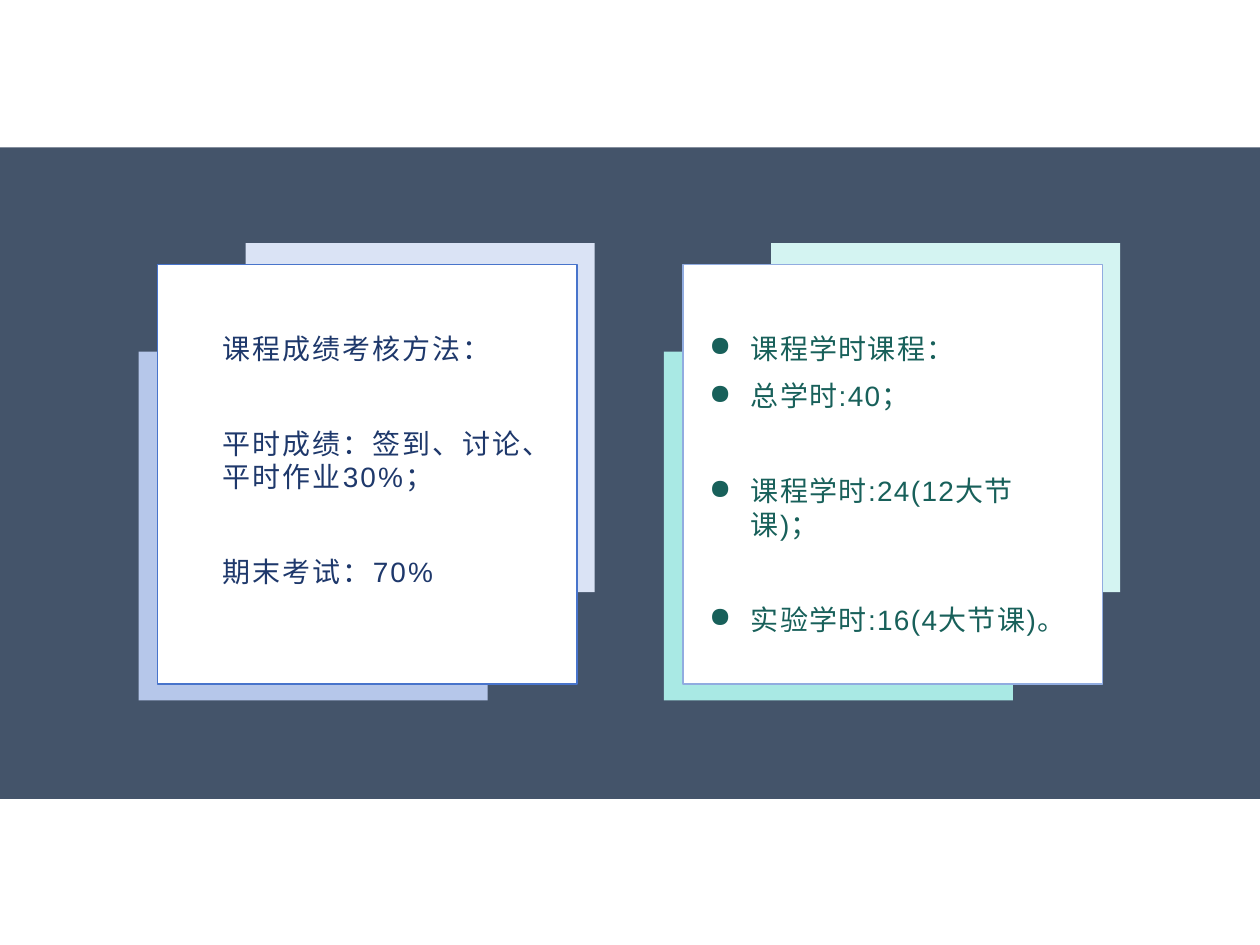
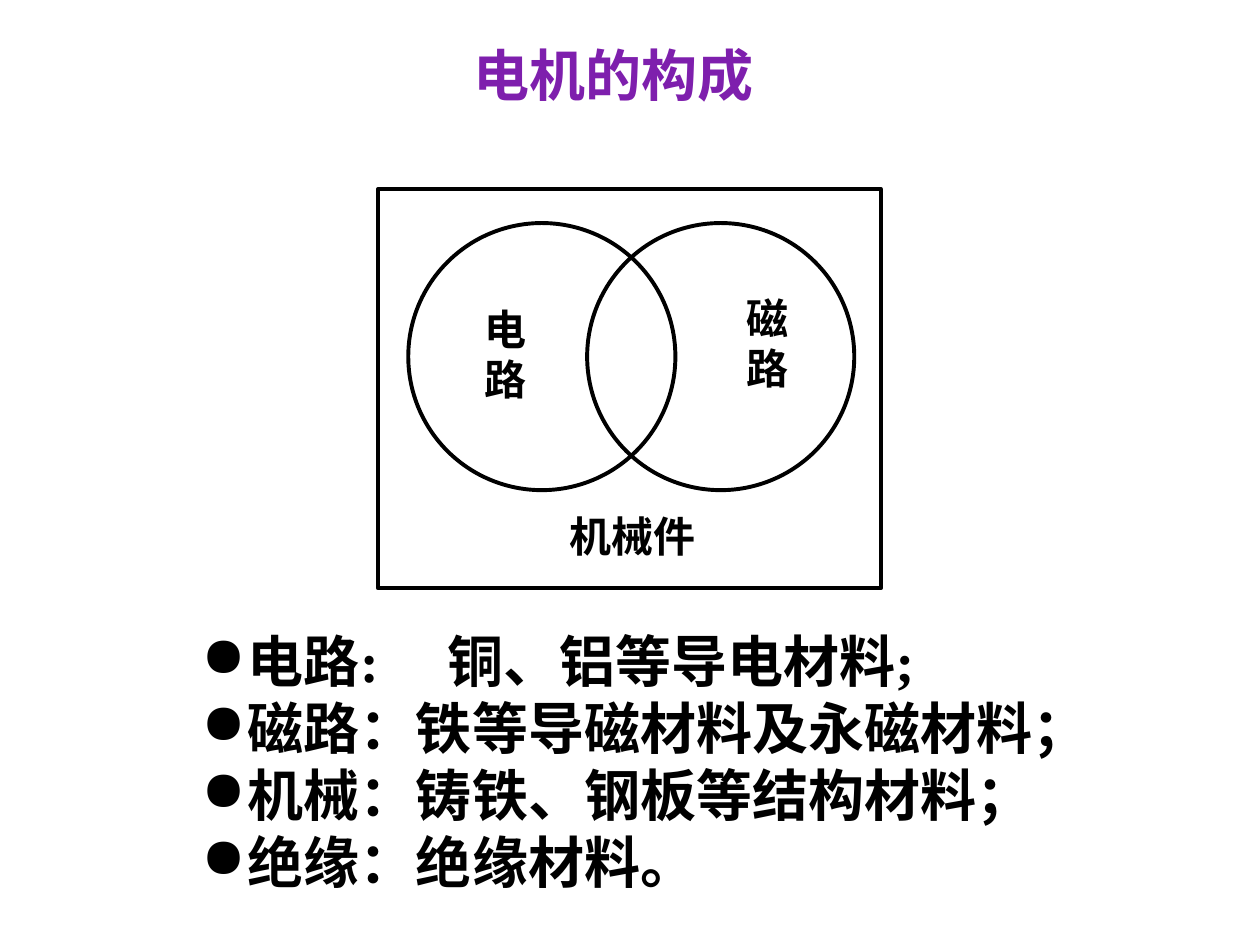
from pptx import Presentation
from pptx.dml.color import RGBColor
from pptx.enum.lang import MSO_LANGUAGE_ID
from pptx.enum.shapes import MSO_SHAPE
from pptx.enum.text import MSO_AUTO_SIZE, PP_ALIGN
from pptx.oxml.ns import qn
from pptx.util import Inches, Pt
from lxml import etree

# Shared colours and fonts
BLACK, WHITE = "000000", "FFFFFF"
SLATE, NAVY, TEAL, PURPLE = "44546A", "1E386B", "18605A", "7E1FAD"
SANS, SERIF = "Arial", "Times New Roman"


def colour(hex_string):
    return RGBColor.from_string(hex_string)


def add_panel(page, left, top, width, height, fill=None, line=None,
              weight=1, kind=MSO_SHAPE.RECTANGLE):
    shape = page.shapes.add_shape(kind, Inches(left), Inches(top),
                                  Inches(width), Inches(height))
    shape.shadow.inherit = False
    if fill:
        shape.fill.solid()
        shape.fill.fore_color.rgb = colour(fill)
    else:
        shape.fill.background()
    if line:
        shape.line.color.rgb = colour(line)
        shape.line.width = Pt(weight)
    else:
        shape.line.fill.background()


def add_bullet(para, hanging, tab=None):
    properties = para._p.get_or_add_pPr()
    properties.set("marL", str(Inches(hanging)))
    properties.set("indent", str(-Inches(hanging)))
    bullet = etree.SubElement(properties, qn("a:buChar"))
    bullet.set("char", "●")
    if tab:
        stops = etree.SubElement(properties, qn("a:tabLst"))
        etree.SubElement(stops, qn("a:tab"), pos=str(Inches(tab)), algn="l")


def add_text(page, left, top, width, height, lines, size, font, ink,
             bold=False, align=PP_ALIGN.LEFT, wrap=True, grow=True,
             hanging=None, tab=None, tracking=0, after=0, gaps=()):
    """Write one paragraph per line; gaps lists the lines set off from the one above."""
    box = page.shapes.add_textbox(Inches(left), Inches(top),
                                  Inches(width), Inches(height))
    frame = box.text_frame
    frame.word_wrap = wrap
    frame.auto_size = MSO_AUTO_SIZE.SHAPE_TO_FIT_TEXT if grow else MSO_AUTO_SIZE.NONE
    for index, line in enumerate(lines):
        para = frame.paragraphs[0] if index == 0 else frame.add_paragraph()
        para.alignment = align
        para.space_after = Pt(after)
        if index in gaps:
            para.space_before = Pt(27)
        if hanging:
            add_bullet(para, hanging, tab)
        para.font.size = Pt(size)
        para.font.name = font
        para.font.bold = bold
        para.font.color.rgb = colour(ink)
        span = para.add_run()
        span.text = line
        span.font.language_id = MSO_LANGUAGE_ID.SIMPLIFIED_CHINESE
        if tracking:
            span.font._element.set("spc", str(round(tracking * 100)))


def add_card(page, left, back_fill, front_fill, line):
    """A white square over two offset coloured squares."""
    add_panel(page, left + 0.85, 1.93, 2.77, 2.77, back_fill)
    add_panel(page, left, 2.79, 2.77, 2.77, front_fill)
    add_panel(page, left + 0.15, 2.1, 3.33, 3.33, WHITE, line)


def build_course_page(page):
    add_panel(page, 0, 1.17, 10, 5.17, SLATE)

    # Grading
    add_card(page, 1.1, "DAE3F5", "B6C7EA", "4874CB")
    grading = ["课程成绩考核方法：", "平时成绩：签到、讨论、平时作业30%；", "期末考试：70%"]
    add_text(page, 1.67, 2.58, 2.61, 2.35, grading, 16, SANS, NAVY,
             grow=False, tracking=1.2, after=8, gaps=(1, 2))

    # Class hours
    add_card(page, 5.27, "D4F4F2", "A9E9E4", "91ACE0")
    hours = ["课程学时课程：", "总学时:40；", "课程学时:24(12大节课)；",
             "实验学时:16(4大节课)。"]
    add_text(page, 5.53, 2.58, 3.11, 2.35, hours, 16, SANS, TEAL,
             grow=False, hanging=0.33, tracking=0.8, after=8, gaps=(2, 3))


def build_motor_page(page):
    add_text(page, 3.66, 0.27, 3.18, 0.63, ["电机的构成"], 32, SANS, PURPLE, bold=True)

    # Two overlapping circuits inside the mechanical frame
    for left in (3.24, 4.66):
        add_panel(page, left, 1.77, 2.12, 2.12, line=BLACK, weight=2.25,
                  kind=MSO_SHAPE.OVAL)
    add_panel(page, 3, 1.5, 3.99, 3.17, line=BLACK, weight=2.25)
    labels = [
        (3.74, 2.36, 0.54, 0.9, "电路"),
        (5.82, 2.27, 0.54, 0.9, "磁路"),
    ]
    for *place, label in labels:
        add_text(page, *place, list(label), 24, SERIF, BLACK, bold=True,
                 align=PP_ALIGN.CENTER, wrap=False)
    add_text(page, 4.42, 4, 1.62, 0.5, ["机械件"], 24, SERIF, BLACK,
             bold=True, wrap=False)

    # Materials
    materials = ["电路:\t铜、铝等导电材料;", "磁路：铁等导磁材料及永磁材料；",
                 "机械：铸铁、钢板等结构材料；", "绝缘：绝缘材料。"]
    add_text(page, 1.5, 4.92, 7.34, 2.23, materials, 32, SERIF, BLACK,
             bold=True, hanging=0.37, tab=1.95)


def main():
    deck = Presentation()
    deck.slide_width, deck.slide_height = Inches(10), Inches(7.5)
    blank = deck.slide_layouts[6]
    for build in (build_course_page, build_motor_page):
        build(deck.slides.add_slide(blank))
    deck.save("out.pptx")


if __name__ == "__main__":
    main()
